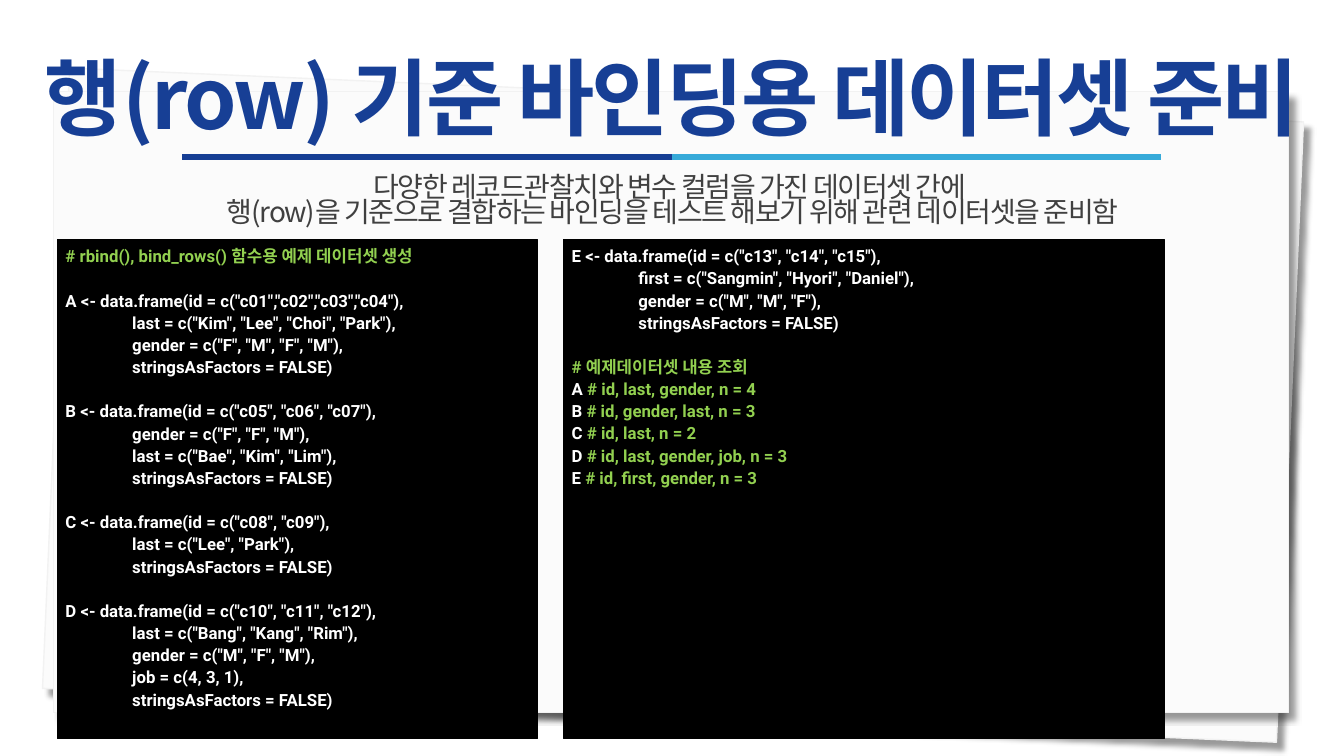
from dataclasses import dataclass

from lxml.etree import SubElement
from pptx import Presentation
from pptx.dml.color import RGBColor
from pptx.enum.shapes import MSO_CONNECTOR, MSO_SHAPE
from pptx.enum.text import MSO_ANCHOR, MSO_AUTO_SIZE, PP_ALIGN
from pptx.oxml import parse_xml
from pptx.oxml.ns import nsdecls, qn
from pptx.util import Inches, Pt

NAVY = RGBColor(0x16, 0x3E, 0x94)
TITLE_BLUE = RGBColor(0x17, 0x3F, 0x95)
SKY = RGBColor(0x36, 0xAA, 0xD9)
PAPER = RGBColor(0xFB, 0xFB, 0xFB)
PAPER_EDGE = RGBColor(0xF2, 0xF2, 0xF2)
GRAY = RGBColor(0x40, 0x40, 0x40)
BLACK = RGBColor(0, 0, 0)
WHITE = RGBColor(0xFF, 0xFF, 0xFF)
GREEN = RGBColor(0x92, 0xD0, 0x50)

HEADING_FONT = "Noto Sans CJK KR"
CODE_FONT = "Roboto"
BLOCK_GAP = Pt(15.9)


@dataclass(frozen=True)
class Paper:
    left: float
    top: float
    rotation: float


@dataclass(frozen=True)
class Rule:
    start: float
    end: float
    color: RGBColor


@dataclass(frozen=True)
class CodePanel:
    left: float
    width: float
    blocks: tuple[str, ...]


@dataclass(frozen=True)
class Heading:
    top: float
    height: float
    lines: tuple[str, ...]
    size: float
    color: RGBColor
    bold: bool
    tracking: float
    line_spacing: float
    anchor: MSO_ANCHOR


PAPERS = (Paper(0.55, 0.94, 2.5), Paper(0.53, 0.91, 0))
RULES = (Rule(1.81, 6.67, NAVY), Rule(6.67, 11.52, SKY))

TITLE = Heading(0.56, 0.9, ("행(row) 기준 바인딩용 데이터셋 준비",),
                60, TITLE_BLUE, True, -1.9, 0.9, MSO_ANCHOR.MIDDLE)
SUMMARY = Heading(1.71, 0.37,
                  ("다양한 레코드관찰치와 변수 컬럼을 가진 데이터셋 간에 ",
                   "행(row)을 기준으로 결합하는 바인딩을 테스트 해보기 위해 관련 데이터셋을 준비함"),
                  20, GRAY, False, -1, 0.74, MSO_ANCHOR.TOP)

PANELS = (
    CodePanel(0.57, 4.76, (
        "# rbind(), bind_rows() 함수용 예제 데이터셋 생성",
        """A <- data.frame(id = c("c01","c02","c03","c04"),
                last = c("Kim", "Lee", "Choi", "Park"),
                gender = c("F", "M", "F", "M"),
                stringsAsFactors = FALSE)""",
        """B <- data.frame(id = c("c05", "c06", "c07"),
                gender = c("F", "F", "M"),
                last = c("Bae", "Kim", "Lim"),
                stringsAsFactors = FALSE)""",
        """C <- data.frame(id = c("c08", "c09"),
                last = c("Lee", "Park"),
                stringsAsFactors = FALSE)""",
        """D <- data.frame(id = c("c10", "c11", "c12"),
                last = c("Bang", "Kang", "Rim"),
                gender = c("M", "F", "M"),
                job = c(4, 3, 1),
                stringsAsFactors = FALSE)""",
    )),
    CodePanel(5.59, 5.96, (
        """E <- data.frame(id = c("c13", "c14", "c15"),
                first = c("Sangmin", "Hyori", "Daniel"),
                gender = c("M", "M", "F"),
                stringsAsFactors = FALSE)""",
        """# 예제데이터셋 내용 조회
A # id, last, gender, n = 4
B # id, gender, last, n = 3
C # id, last, n = 2
D # id, last, gender, job, n = 3
E # id, first, gender, n = 3""",
    )),
)


def draw_paper(slide, paper: Paper) -> None:
    sheet = slide.shapes.add_shape(MSO_SHAPE.RECTANGLE, Inches(paper.left), Inches(paper.top),
                                   Inches(12.25), Inches(6.16))
    sheet.rotation = paper.rotation
    sheet.fill.solid()
    sheet.fill.fore_color.rgb = PAPER
    sheet.line.color.rgb = PAPER_EDGE
    sheet.line.width = Pt(1)
    sheet._element.spPr.append(parse_xml(
        f'<a:effectLst {nsdecls("a")}>'
        f'<a:outerShdw blurRad="{Pt(4)}" dist="{Pt(7)}" dir="2700000" algn="tl" rotWithShape="0">'
        '<a:srgbClr val="000000"><a:alpha val="40000"/></a:srgbClr>'
        '</a:outerShdw></a:effectLst>'))


def draw_rule(slide, rule: Rule) -> None:
    line = slide.shapes.add_connector(MSO_CONNECTOR.STRAIGHT, Inches(rule.start), Inches(1.56),
                                      Inches(rule.end), Inches(1.56))
    line.line.color.rgb = rule.color
    line.line.width = Pt(4.5)
    SubElement(line._element.spPr, qn("a:effectLst"))


def add_code_run(paragraph, text: str, color: RGBColor) -> None:
    run = paragraph.add_run()
    run.text = text
    run.font.name = CODE_FONT
    run.font.size = Pt(12)
    run.font.bold = True
    run.font.color.rgb = color


def draw_code(slide, panel: CodePanel) -> None:
    box = slide.shapes.add_shape(MSO_SHAPE.ROUNDED_RECTANGLE, Inches(panel.left), Inches(2.38),
                                 Inches(panel.width), Inches(4.95))
    box.adjustments[0] = 0
    box.shadow.inherit = False
    box.fill.solid()
    box.fill.fore_color.rgb = BLACK
    box.line.color.rgb = BLACK
    box.line.width = Pt(0.75)
    frame = box.text_frame
    frame.word_wrap = True
    frame.vertical_anchor = MSO_ANCHOR.TOP
    frame.margin_left = frame.margin_right = Inches(0.08)
    frame.margin_top = frame.margin_bottom = Inches(0.04)
    for block_no, block in enumerate(panel.blocks):
        for line_no, code_line in enumerate(block.split("\n")):
            first = block_no == line_no == 0
            paragraph = frame.paragraphs[0] if first else frame.add_paragraph()
            paragraph.alignment = PP_ALIGN.LEFT
            paragraph.line_spacing = 1.1
            if block_no and line_no == 0:
                paragraph.space_before = BLOCK_GAP
            code, mark, comment = code_line.partition("#")
            if code:
                add_code_run(paragraph, code, WHITE)
            if mark:
                add_code_run(paragraph, mark + comment, GREEN)


def fill_heading(placeholder, heading: Heading) -> None:
    """Places and formats a placeholder, and brings it in front of the papers."""
    placeholder.left, placeholder.top = Inches(0), Inches(heading.top)
    placeholder.width, placeholder.height = Inches(13.33), Inches(heading.height)
    frame = placeholder.text_frame
    frame.word_wrap = True
    frame.auto_size = MSO_AUTO_SIZE.NONE
    frame.vertical_anchor = heading.anchor
    frame.margin_left = frame.margin_right = 0
    paragraph = frame.paragraphs[0]
    properties = paragraph._p.get_or_add_pPr()
    properties.set("marL", "0")
    properties.set("indent", "0")
    SubElement(properties, qn("a:buNone"))
    paragraph.alignment = PP_ALIGN.CENTER
    paragraph.line_spacing = heading.line_spacing
    paragraph.space_before = Pt(0)
    for line_no, text in enumerate(heading.lines):
        if line_no:
            paragraph.add_line_break()
        run = paragraph.add_run()
        run.text = text
        run.font.name = HEADING_FONT
        run.font.size = Pt(heading.size)
        run.font.bold = heading.bold
        run.font.color.rgb = heading.color
        run_properties = run._r.get_or_add_rPr()
        run_properties.set("spc", str(round(heading.tracking * 100)))
        SubElement(run_properties, qn("a:ea")).set("typeface", HEADING_FONT)
    placeholder._element.getparent().append(placeholder._element)


def main() -> None:
    deck = Presentation()
    deck.slide_width, deck.slide_height = Inches(13.33), Inches(7.5)
    slide = deck.slides.add_slide(deck.slide_layouts[1])
    for paper in PAPERS:
        draw_paper(slide, paper)
    for rule in RULES:
        draw_rule(slide, rule)
    for panel in PANELS:
        draw_code(slide, panel)
    fill_heading(slide.shapes.title, TITLE)
    fill_heading(slide.placeholders[1], SUMMARY)
    deck.save("out.pptx")


if __name__ == "__main__":
    main()
